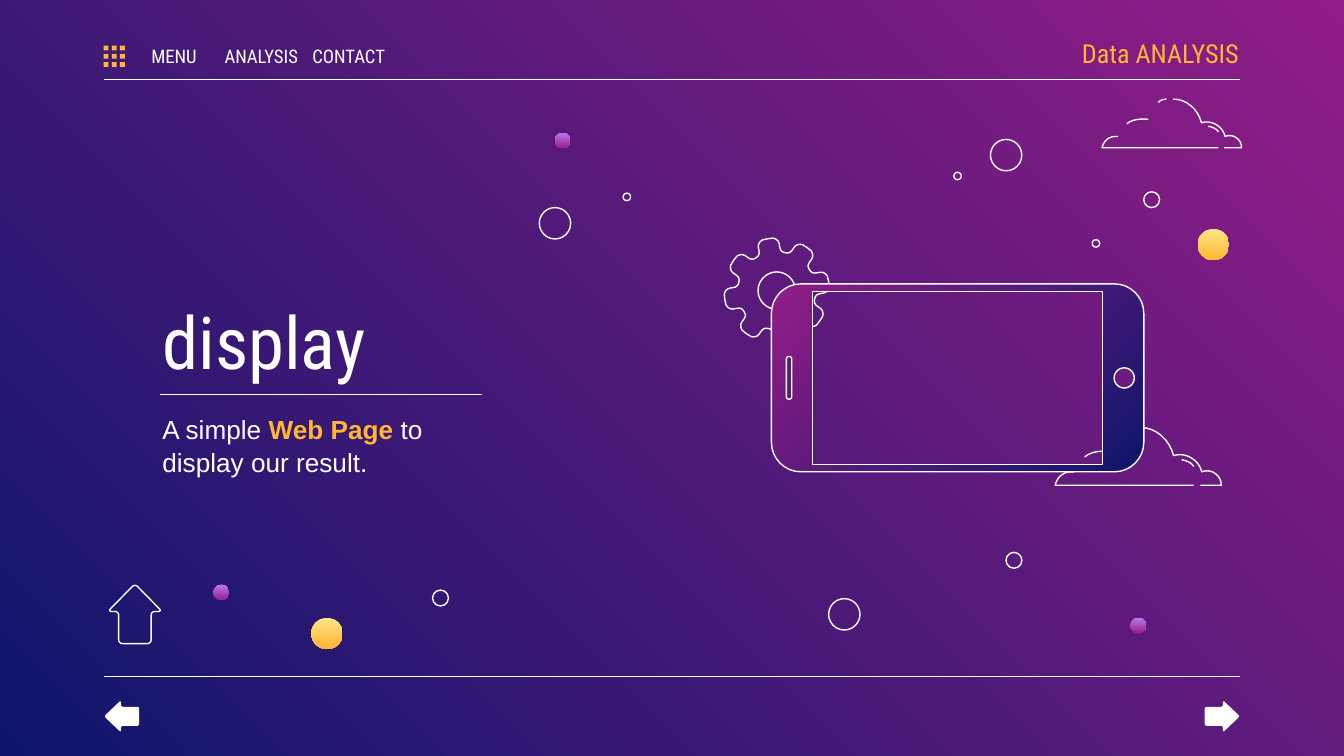
import dataclasses
import math

import pptx
import pptx.dml.color
import pptx.enum.shapes
import pptx.enum.text
import pptx.oxml
import pptx.oxml.ns
import pptx.util

Pt = pptx.util.Pt
ALIGN = pptx.enum.text.PP_ALIGN
ANCHOR = pptx.enum.text.MSO_ANCHOR
SHAPE = pptx.enum.shapes.MSO_SHAPE


@dataclasses.dataclass(frozen=True)
class Theme:
    white: str = "FFFFFF"
    gold: str = "FFB632"
    night: tuple = ("921D87", "0E166C")
    violet: tuple = ("BE7AF3", "921D87")
    sun: tuple = ("FFE485", "FFB632")
    head_font: str = "Roboto Condensed"
    body_font: str = "Arial"
    title_size: float = 39
    body_size: float = 14
    menu_size: float = 10
    stroke: float = 0.75


THEME = Theme()

# Each stroke is a start point, then cubic curves (6 numbers) or lines (2 numbers).
CLOUD_STROKES = [
    [(45.4, 0), (54, 0, 61.2, 6.5, 63.4, 15.1), (69.8, 13, 77, 17.3, 78.5, 23.8),
     (83.5, 21.6, 89.3, 25.9, 88.9, 31), (77.8, 31)],
    [(41, 0), (41, 0, 37.4, 0, 36, 2.2)],
    [(74.2, 31), (0, 31), (0, 31, 1.4, 23, 10.1, 23.8)],
    [(67.7, 17.3), (67.7, 17.3, 72.7, 18, 74.2, 20.9)],
    [(29.5, 13), (29.5, 13, 20.9, 11.5, 15.8, 15.8)],
]
# Half a gear tooth: degrees from the middle of the tooth, radius.
TOOTH = [(0, 28.2), (6, 28.2), (9, 27.6), (11.5, 26.6), (13, 25.2), (13.8, 23.6),
         (15, 22.2), (17, 21.3), (19.5, 20.9), (22.5, 20.8)]


def rgb(value):
    return pptx.dml.color.RGBColor.from_string(value)


def paint(fill, colors, angle=270):
    """Fill with nothing, one colour, or a gradient given as a pair of colours."""
    if colors is None:
        fill.background()
    elif isinstance(colors, str):
        fill.solid()
        fill.fore_color.rgb = rgb(colors)
    else:
        fill.gradient()
        fill.gradient_angle = angle
        for stop, color in zip(fill.gradient_stops, colors):
            stop.color.rgb = rgb(color)


def finish(shape, fill=None, line=None, angle=270):
    shape.shadow.inherit = False
    paint(shape.fill, fill, angle)
    paint(shape.line.fill, line)
    if line:
        shape.line.width = Pt(THEME.stroke)


def curve(p0, p1, p2, p3, steps=8):
    """Points along a cubic curve, without its start."""
    points = []
    for step in range(1, steps + 1):
        t = step / steps
        weights = ((1 - t) ** 3, 3 * t * (1 - t) ** 2, 3 * t * t * (1 - t), t ** 3)
        points.append(tuple(sum(w * p[axis] for w, p in zip(weights, (p0, p1, p2, p3)))
                            for axis in (0, 1)))
    return points


def toward(start, end, distance):
    share = distance / math.dist(start, end)
    return tuple(a + (b - a) * share for a, b in zip(start, end))


def rounded(corners, radius):
    """A closed outline whose corners are cut back by radius and curved."""
    points = []
    for index, corner in enumerate(corners):
        before, after = corners[index - 1], corners[(index + 1) % len(corners)]
        start, end = toward(corner, before, radius), toward(corner, after, radius)
        handles = [toward(corner, side, radius * 0.45) for side in (before, after)]
        points += [start] + curve(start, *handles, end)
    return points


def rectangle(left, top, right, bottom):
    return [(left, top), (right, top), (right, bottom), (left, bottom)]


def add_outline(shapes, contours, closed=True, **look):
    first = contours[0][0]
    builder = shapes.build_freeform(Pt(first[0]), Pt(first[1]), scale=1.0)
    for index, contour in enumerate(contours):
        points = [(Pt(x), Pt(y)) for x, y in contour]
        if index:
            builder.move_to(*points[0])
        builder.add_line_segments(points[1:], close=closed)
    finish(builder.convert_to_shape(), **look)


def add_rule(page, left, right, y):
    rule = page.shapes.add_connector(
        pptx.enum.shapes.MSO_CONNECTOR.STRAIGHT, Pt(left), Pt(y), Pt(right), Pt(y))
    rule.line.color.rgb = rgb(THEME.white)
    rule.line.width = Pt(THEME.stroke)
    pptx.oxml.ns.qn("a:effectLst")
    rule._element.spPr.append(pptx.oxml.parse_xml(
        '<a:effectLst xmlns:a="http://schemas.openxmlformats.org/drawingml/2006/main"/>'))


def add_text(page, place, spans, size, font, anchor=ANCHOR.TOP, align=ALIGN.LEFT,
             sides=(7.2, 7.2), spacing=None):
    """Spans are (text, colour, bold)."""
    box = page.shapes.add_textbox(*map(Pt, place))
    frame = box.text_frame
    frame_format = {"word_wrap": True, "vertical_anchor": anchor,
                    "margin_left": Pt(sides[0]), "margin_right": Pt(sides[1]),
                    "margin_top": Pt(7.2), "margin_bottom": Pt(7.2)}
    for name, value in frame_format.items():
        setattr(frame, name, value)
    para = frame.paragraphs[0]
    para.alignment = align
    para.line_spacing = spacing
    for text, color, bold in spans:
        span = para.add_run()
        span.text = text
        for name, value in {"size": Pt(size), "name": font, "bold": bold}.items():
            setattr(span.font, name, value)
        span.font.color.rgb = rgb(color)


def add_cloud(page, left, top, scale):
    group = page.shapes.add_group_shape()
    for start, *segments in CLOUD_STROKES:
        points = [start]
        for segment in segments:
            ends = list(zip(segment[::2], segment[1::2]))
            points += curve(points[-1], *ends) if len(ends) == 3 else ends
        placed = [(left + x * scale, top + y * scale) for x, y in points]
        add_outline(group.shapes, [placed], closed=False, line=THEME.white)


def add_gear(page, x, y, teeth=8, turn=-10, hub=10):
    profile = [(-angle, radius) for angle, radius in TOOTH[:0:-1]] + TOOTH
    rim = []
    for tooth in range(teeth):
        for angle, radius in profile:
            way = math.radians(turn + tooth * 360 / teeth + angle)
            rim.append((x + radius * math.cos(way), y + radius * math.sin(way)))
    hole = rounded(rectangle(x - hub, y - hub, x + hub, y + hub), hub)
    add_outline(page.shapes, [rim, hole], line=THEME.white)


def add_phone(page):
    body = rounded(rectangle(413.3, 152.1, 612.8, 252.8), 15.8)
    speaker = rounded(rectangle(421.3, 191, 424.2, 213.9), 1.4)
    button = rounded(rectangle(596.9, 197.1, 607.7, 207.9), 5.4)
    screen = rectangle(435.4, 156.2, 590.7, 248.9)
    add_outline(page.shapes, [body, speaker, button, screen],
                fill=THEME.night, line=THEME.white, angle=315)


def add_arrow(page, tip, way, head, stem, radius, **look):
    """Head and stem are (length from the tip, half width); way is a unit vector."""
    side = [head, (head[0], stem[1]), stem]
    corners = [(0, 0)] + side + [(along, -across) for along, across in side[::-1]]
    dx, dy = way
    placed = [(tip[0] - along * dx - across * dy, tip[1] - along * dy + across * dx)
              for along, across in corners]
    add_outline(page.shapes, [rounded(placed, radius)], **look)


def add_bubbles(page, size, centres, **look):
    for x, y in centres:
        bubble = page.shapes.add_shape(
            SHAPE.OVAL, Pt(x - size / 2), Pt(y - size / 2), Pt(size), Pt(size))
        finish(bubble, **look)


def add_menu_grid(page, left=55.5, top=24.5, step=4.4, size=2.6):
    group = page.shapes.add_group_shape()
    for cell in range(9):
        column, row = divmod(cell, 3)
        dot = group.shapes.add_shape(SHAPE.RECTANGLE, Pt(left + column * step),
                                     Pt(top + row * step), Pt(size), Pt(size))
        finish(dot, fill=THEME.gold)


def main():
    deck = pptx.Presentation()
    deck.slide_width, deck.slide_height = Pt(720), Pt(405)
    page = deck.slides.add_slide(deck.slide_layouts[6])
    paint(page.background.fill, THEME.night, angle=225)
    white, head_font = THEME.white, THEME.head_font

    for left, right, y in [(55.6, 664.4, 42.5), (55.6, 664.4, 362.5), (85.8, 258, 211.2)]:
        add_rule(page, left, right, y)
    add_cloud(page, 565.3, 229, 1)
    add_gear(page, 416.1, 155.7)

    add_text(page, (79.9, 213.1, 191.5, 83.5),
             [("A simple ", white, False), ("Web Page ", THEME.gold, True),
              ("to display our result.", white, False)],
             THEME.body_size, THEME.body_font, spacing=1.06)
    add_text(page, (79.9, 151.9, 151.9, 50.4), [("display", white, False)],
             THEME.title_size, head_font)
    add_text(page, (555.8, 16.6, 108, 23.8), [("Data ANALYSIS", THEME.gold, False)],
             THEME.body_size, head_font, ANCHOR.MIDDLE, ALIGN.RIGHT, (7.2, 0))
    for index, label in enumerate(["MENU", "ANALYSIS", "CONTACT"]):
        add_text(page, (72.7 + 46.8 * index, 21.6, 41, 16.6), [(label, white, False)],
                 THEME.menu_size, head_font, ANCHOR.MIDDLE, ALIGN.CENTER, (0, 0))

    add_phone(page)
    add_cloud(page, 590.4, 53.1, 0.84)
    add_bubbles(page, 16.8, [(539, 83.1), (297.3, 119.6), (452.3, 329.1)], line=white)
    add_bubbles(page, 8.5, [(543.2, 300.2), (617, 107), (236, 320.4)], line=white)
    add_bubbles(page, 4, [(513, 94.3), (587.1, 130.4), (335.8, 105.5)], line=white)
    add_bubbles(page, 8.5, [(609.9, 335.1), (118.6, 317.4), (301.5, 75.3)],
                fill=THEME.violet)
    add_bubbles(page, 16.8, [(650, 131), (175.2, 339.4)], fill=THEME.sun)

    add_arrow(page, (72.3, 312.8), (0, -1), (14.8, 14.5), (32, 8.7), 2, line=white)
    for x, way in [(55.8, -1), (664.2, 1)]:
        add_arrow(page, (x, 383.8), (way, 0), (9, 8.6), (18.8, 5.1), 1.2, fill=white)
    add_menu_grid(page)
    deck.save("out.pptx")


if __name__ == "__main__":
    main()
